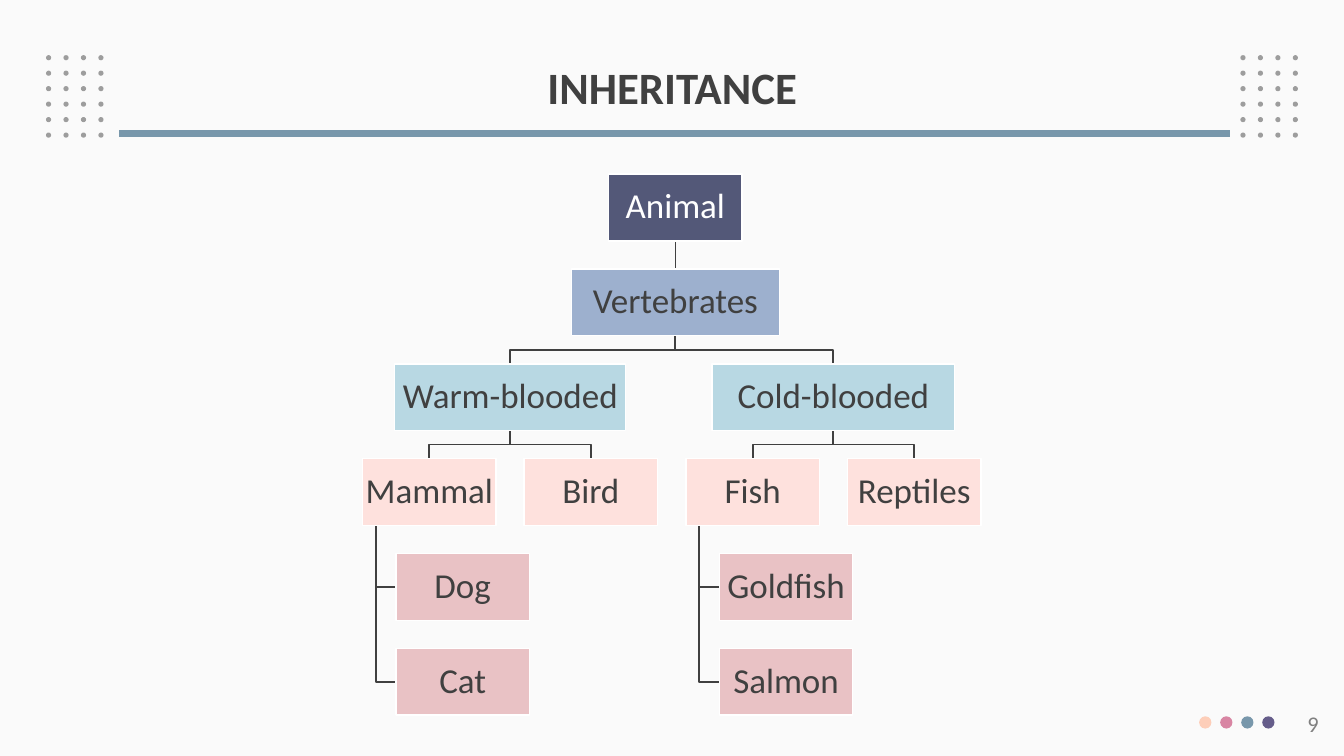
from lxml import etree
from pptx import Presentation, util as u
from pptx.dml.color import RGBColor
from pptx.enum import shapes, text
from pptx.oxml import ns

PAPER = RGBColor(0xFA, 0xFA, 0xFA)
WHITE = RGBColor(0xFF, 0xFF, 0xFF)
INK = RGBColor(0x40, 0x40, 0x40)
GREY = RGBColor(0x80, 0x80, 0x80)
DOT_GREY = RGBColor(0x9D, 0x9D, 0x9D)
PEACH = RGBColor(0xFD, 0xCE, 0xB9)
PINK = RGBColor(0xD8, 0x85, 0xA3)
TEAL = RGBColor(0x78, 0x97, 0xAB)
PURPLE = RGBColor(0x65, 0x5D, 0x8A)
LEVEL_FILLS = [
    RGBColor(0x53, 0x58, 0x78),
    RGBColor(0x9D, 0xB0, 0xCE),
    RGBColor(0xB8, 0xD8, 0xE3),
    RGBColor(0xFE, 0xE1, 0xDD),
    RGBColor(0xE9, 0xC2, 0xC5),
    RGBColor(0xE9, 0xC2, 0xC5),
]

TREE_TOP, LEVEL_STEP, NODE_HEIGHT = 4.39, 2.39, 1.68
STEM_INSET = 0.33
NODES = {
    "Animal": (None, 0, 17.02, 3.36),
    "Vertebrates": ("Animal", 1, 17.02, 5.24),
    "Warm-blooded": ("Vertebrates", 2, 12.86, 5.82),
    "Mammal": ("Warm-blooded", 3, 10.82, 3.36),
    "Dog": ("Mammal", 4, 11.66, 3.36),
    "Cat": ("Mammal", 5, 11.66, 3.36),
    "Bird": ("Warm-blooded", 3, 14.89, 3.36),
    "Cold-blooded": ("Vertebrates", 2, 21, 6.12),
    "Fish": ("Cold-blooded", 3, 18.97, 3.36),
    "Goldfish": ("Fish", 4, 19.81, 3.36),
    "Salmon": ("Fish", 5, 19.81, 3.36),
    "Reptiles": ("Cold-blooded", 3, 23.04, 3.36),
}


def add_dot(left, top, size, color):
    dot = page.shapes.add_shape(
        shapes.MSO_SHAPE.OVAL, u.Cm(left), u.Cm(top), u.Cm(size), u.Cm(size))
    dot.shadow.inherit = False
    dot.fill.solid()
    dot.fill.fore_color.rgb = color
    dot.line.fill.background()


def write(box, wording, color, frame_format, para_format, font_format):
    para = box.text_frame.paragraphs[0]
    span = para.add_run()
    span.text = wording
    span.font.color.rgb = color
    for target, values in ((box.text_frame, frame_format), (para, para_format),
                           (span.font, {"name": "Calibri", **font_format})):
        for name, value in values.items():
            setattr(target, name, value)


deck = Presentation()
deck.slide_width, deck.slide_height = u.Cm(33.87), u.Cm(19.05)
page = deck.slides.add_slide(deck.slide_layouts[6])
page.background.fill.solid()
page.background.fill.fore_color.rgb = PAPER

for grid_left in (1.16, 31.26):
    for row in range(6):
        for column in range(4):
            add_dot(grid_left + 0.44 * column, 1.39 + 0.39 * row, 0.13, DOT_GREY)

for index, color in enumerate((PEACH, PINK, TEAL, PURPLE)):
    add_dot(30.22 + 0.53 * index, 18.05, 0.31, color)

rule = page.shapes.add_connector(
    shapes.MSO_CONNECTOR.STRAIGHT, u.Cm(3), u.Cm(3.36), u.Cm(30.99), u.Cm(3.36))
rule.line.color.rgb = TEAL
rule.line.width = u.Pt(5.25)
etree.SubElement(rule.element.spPr, ns.qn("a:effectLst"))

title = page.shapes.add_textbox(u.Cm(2.34), u.Cm(1.02), u.Cm(29.21), u.Cm(2.49))
write(title, "INHERITANCE", INK,
      {"word_wrap": True, "vertical_anchor": text.MSO_ANCHOR.MIDDLE},
      {"alignment": text.PP_ALIGN.CENTER, "line_spacing": 0.9},
      {"size": u.Pt(32), "bold": True})

for parent, level, center, width in NODES.values():
    if parent is None:
        continue
    parent_level, parent_center, parent_width = NODES[parent][1:]
    start = TREE_TOP + LEVEL_STEP * parent_level + NODE_HEIGHT
    end = TREE_TOP + LEVEL_STEP * level
    if level > 3:
        stem = parent_center - parent_width / 2 + STEM_INSET
        middle = end + NODE_HEIGHT / 2
        points = [(stem, start), (stem, middle), (center - width / 2, middle)]
    else:
        middle = (start + end) / 2
        points = [(parent_center, start), (parent_center, middle),
                  (center, middle), (center, end)]
    corners = [(u.Cm(x), u.Cm(y)) for x, y in points]
    if center == parent_center:
        branch = page.shapes.add_connector(
            shapes.MSO_CONNECTOR.STRAIGHT, *corners[0], *corners[-1])
        etree.SubElement(branch.element.spPr, ns.qn("a:effectLst"))
    else:
        outline = page.shapes.build_freeform(*corners[0])
        outline.add_line_segments(corners[1:], close=False)
        branch = outline.convert_to_shape()
        branch.shadow.inherit = False
        branch.fill.background()
    branch.line.color.rgb = INK
    branch.line.width = u.Pt(1.25)

for name, (parent, level, center, width) in NODES.items():
    node = page.shapes.add_shape(
        shapes.MSO_SHAPE.RECTANGLE, u.Cm(center - width / 2),
        u.Cm(TREE_TOP + LEVEL_STEP * level), u.Cm(width), u.Cm(NODE_HEIGHT))
    node.shadow.inherit = False
    node.fill.solid()
    node.fill.fore_color.rgb = LEVEL_FILLS[level]
    node.line.color.rgb = WHITE
    node.line.width = u.Pt(1)
    margins = {f"margin_{side}": u.Cm(0.04) for side in ("left", "top", "right", "bottom")}
    write(node, name, INK if parent else WHITE,
          {"word_wrap": False, "vertical_anchor": text.MSO_ANCHOR.MIDDLE, **margins},
          {"alignment": text.PP_ALIGN.CENTER, "line_spacing": 0.9},
          {"size": u.Pt(25)})

number = page.shapes.add_textbox(u.Cm(25.86), u.Cm(17.78), u.Cm(7.62), u.Cm(1.02))
write(number, "9", GREY, {"word_wrap": True},
      {"alignment": text.PP_ALIGN.RIGHT}, {"size": u.Pt(16)})

deck.save("out.pptx")
